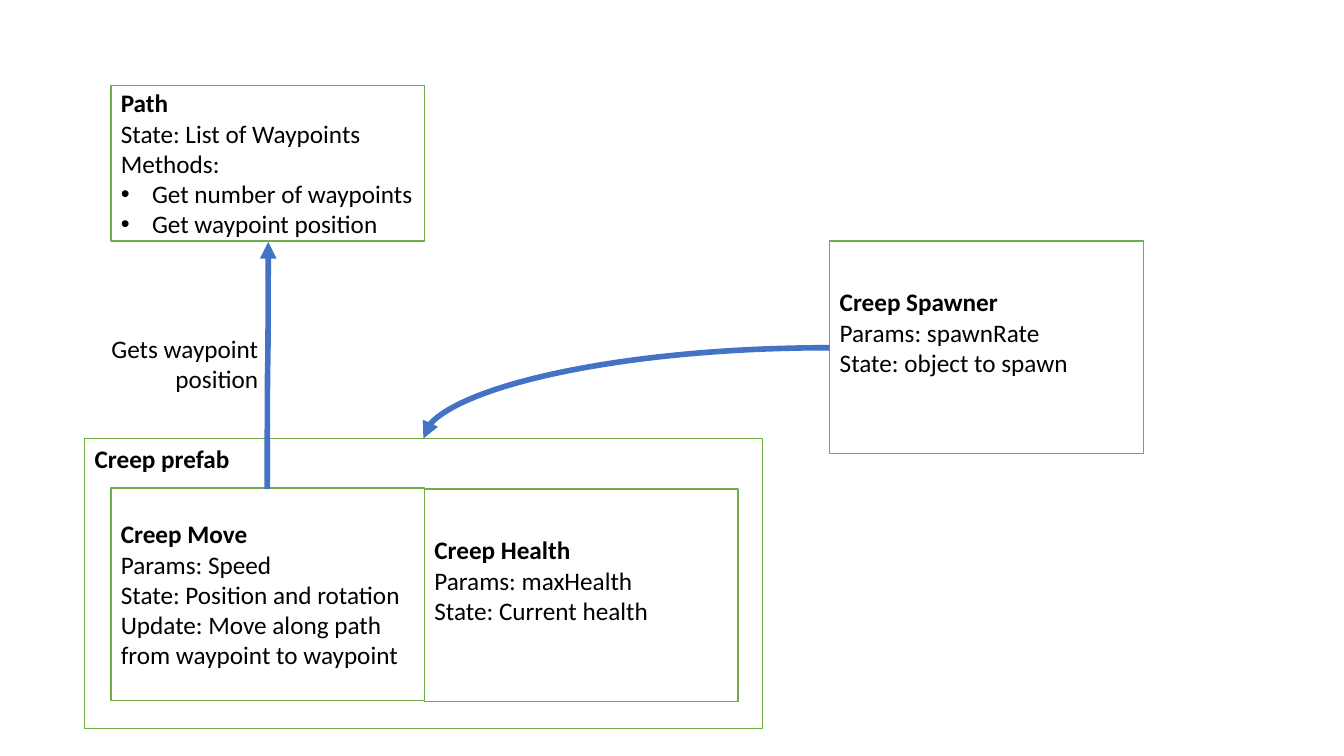
from dataclasses import dataclass

from lxml import etree
from pptx import Presentation
from pptx import util as u
from pptx.dml.color import RGBColor
from pptx.enum import shapes, text
from pptx.oxml.ns import qn


@dataclass(frozen=True)
class Theme:
    font: str = "Calibri"
    size: int = 18
    ink: RGBColor = RGBColor(0, 0, 0)
    paper: RGBColor = RGBColor(255, 255, 255)
    border: RGBColor = RGBColor(0x70, 0xAD, 0x47)
    arrow: RGBColor = RGBColor(0x44, 0x72, 0xC4)
    border_width: float = 1
    arrow_width: float = 4


THEME = Theme()
CARD_WIDTH, CARD_HEIGHT = 3.11, 2.11
INDENT = u.Inches(0.31)
LINE_HEIGHT = 0.3


def write(frame, lines, align, bold_first=False):
    frame.text = "\n".join(lines)
    for index, line in enumerate(frame.paragraphs):
        line.alignment = align
        for run in line.runs:
            run.font.name = THEME.font
            run.font.size = u.Pt(THEME.size)
            run.font.color.rgb = THEME.ink
            run.font.bold = bold_first and index == 0


def add_bullet(line):
    props = line._p.get_or_add_pPr()
    props.set("marL", str(INDENT))
    props.set("indent", str(-INDENT))
    etree.SubElement(props, qn("a:buFont")).set("typeface", "Arial")
    etree.SubElement(props, qn("a:buChar")).set("char", "\u2022")


def component(slide, box, lines, bullets=0, anchor=text.MSO_ANCHOR.MIDDLE, lift=0):
    """Outlined box: bold title, details, and bullets on the last lines."""
    card = slide.shapes.add_shape(shapes.MSO_SHAPE.RECTANGLE, *map(u.Inches, box))
    card.shadow.inherit = False
    card.fill.solid()
    card.fill.fore_color.rgb = THEME.paper
    card.line.color.rgb = THEME.border
    card.line.width = u.Pt(THEME.border_width)
    frame = card.text_frame
    frame.word_wrap = True
    frame.vertical_anchor = anchor
    frame.margin_bottom = u.Inches(0.05 + lift)
    write(frame, lines, text.PP_ALIGN.LEFT, bold_first=True)
    for line in frame.paragraphs[len(lines) - bullets:]:
        add_bullet(line)


def curved_arrow(slide, start, end, preset, quarter_turn=False):
    """Curve from start to end; a quarter turn makes it leave vertically."""
    points = [start, end]
    if quarter_turn:
        mid_x, mid_y = ((a + b) / 2 for a, b in zip(start, end))
        points = [(mid_x + y - mid_y, mid_y - x + mid_x) for x, y in points]
    arrow = slide.shapes.add_connector(
        shapes.MSO_CONNECTOR.CURVE, *(u.Inches(v) for point in points for v in point))
    arrow.line.color.rgb = THEME.arrow
    arrow.line.width = u.Pt(THEME.arrow_width)
    props = arrow._element.spPr
    props.find(qn("a:prstGeom")).set("prst", preset)
    if quarter_turn:
        props.find(qn("a:xfrm")).set("rot", str(90 * 60000))
    etree.SubElement(props.find(qn("a:ln")), qn("a:tailEnd")).set("type", "triangle")
    etree.SubElement(props, qn("a:effectLst"))


def arrow_label(slide, box, lines):
    label = slide.shapes.add_textbox(*map(u.Inches, box))
    label.text_frame.word_wrap = False
    label.text_frame.auto_size = text.MSO_AUTO_SIZE.SHAPE_TO_FIT_TEXT
    write(label.text_frame, lines, text.PP_ALIGN.RIGHT)


def creep_prefab(slide, left, top, width, height):
    """Prefab container with its two components side by side."""
    component(slide, (left, top, width, height), ["Creep prefab"],
              anchor=text.MSO_ANCHOR.TOP)
    move_left, card_top = left + 0.26, top + 0.49
    component(slide, (move_left, card_top, CARD_WIDTH, CARD_HEIGHT),
              ["Creep Move", "Params: Speed", "State: Position and rotation",
               "Update: Move along path from waypoint to waypoint"])
    component(slide, (move_left + CARD_WIDTH, card_top + 0.01, CARD_WIDTH, CARD_HEIGHT),
              ["Creep Health", "Params: maxHealth", "State: Current health"],
              lift=LINE_HEIGHT)


def class_diagram(slide):
    # Components
    creep_prefab(slide, 0.84, 4.35, 6.72, 2.88)
    component(slide, (1.1, 0.85, CARD_WIDTH, 1.54),
              ["Path", "State: List of Waypoints", "Methods:",
               "Get number of waypoints", "Get waypoint position"], bullets=2)
    component(slide, (8.23, 2.39, CARD_WIDTH, CARD_HEIGHT),
              ["Creep Spawner", "Params: spawnRate", "State: object to spawn"],
              lift=LINE_HEIGHT)

    # Creep Move reads from Path
    curved_arrow(slide, (2.65, 4.85), (2.66, 2.4), "curvedConnector3", quarter_turn=True)
    arrow_label(slide, (0.99, 3.26, 1.67, 0.71), ["Gets waypoint", "position"])

    # Spawner creates the prefab
    curved_arrow(slide, (8.23, 3.45), (4.2, 4.35), "curvedConnector2")


deck = Presentation()
deck.slide_width, deck.slide_height = u.Inches(13.33), u.Inches(7.5)
class_diagram(deck.slides.add_slide(deck.slide_layouts[6]))
deck.save("out.pptx")
